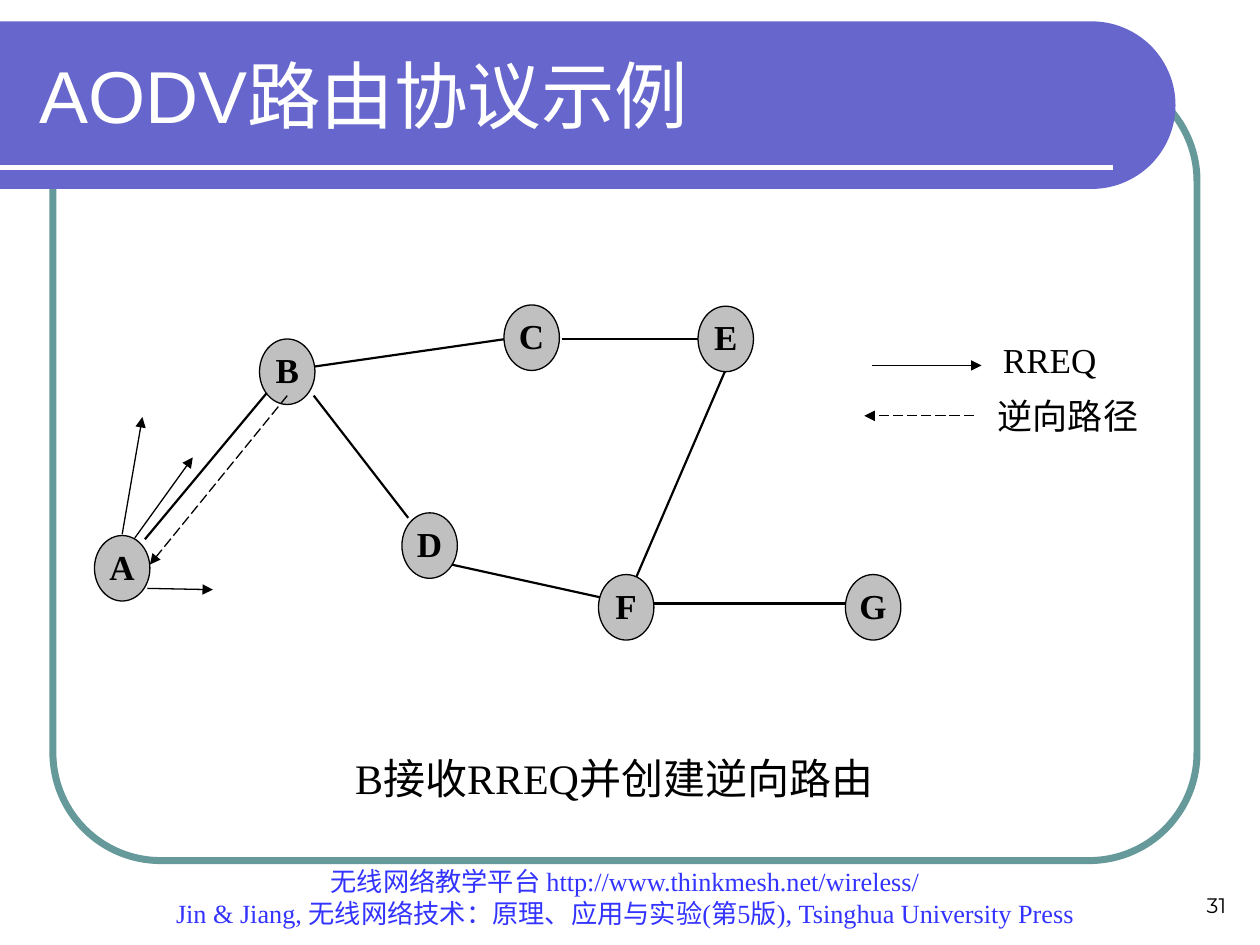
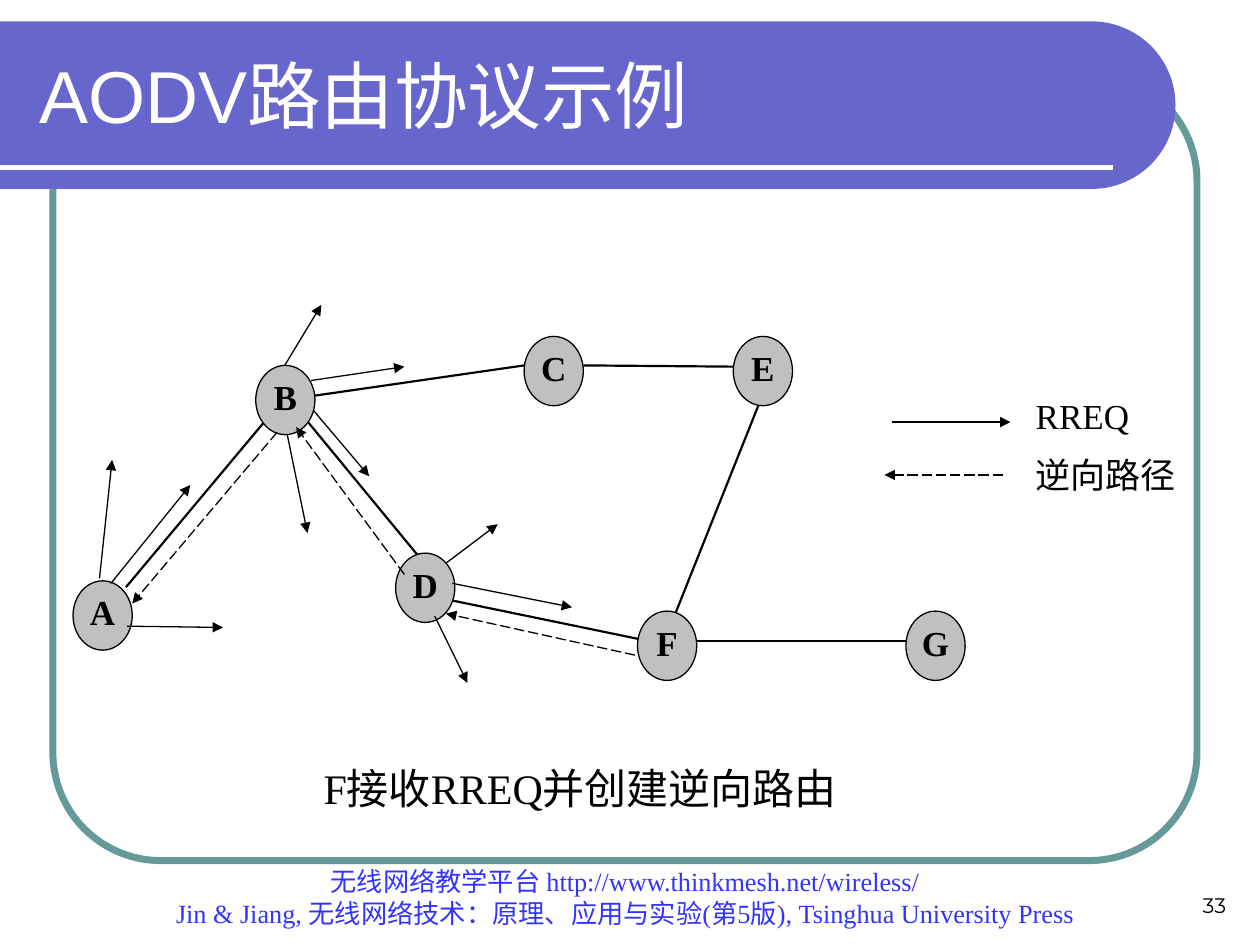
import math

from lxml import etree
from pptx import Presentation
from pptx.dml.color import RGBColor
from pptx.enum import dml, shapes, text
from pptx.oxml import ns
from pptx.util import Inches, Pt

BAND_BLUE = RGBColor(0x66, 0x66, 0xCC)
FRAME_TEAL = RGBColor(0x66, 0x99, 0x99)
FOOTER_BLUE = RGBColor(0x33, 0x33, 0xFF)
NODE_GRAY = RGBColor(0xC0, 0xC0, 0xC0)
BLACK = RGBColor(0, 0, 0)
WHITE = RGBColor(0xFF, 0xFF, 0xFF)
SERIF = "Times New Roman"
ALIGN = text.PP_ALIGN
ANCHOR = text.MSO_ANCHOR

TITLE = "AODV路由协议示例"
FOOTER = [
    "无线网络教学平台 http://www.thinkmesh.net/wireless/",
    "Jin & Jiang, 无线网络技术：原理、应用与实验(第5版), Tsinghua University Press",
]

# Places inside a network are measured from the left top of its box;
# lines are (x1, y1, x2, y2), and arrows point at their second end.
B_RECEIVES = {
    "number": "31",
    "caption": "B接收RREQ并创建逆向路由",
    "caption_at": (2.72, 5.92),
    "network_at": (0.75, 2.42),
    "node_size": (0.44, 0.52),
    "nodes": {"A": (0, 1.83), "B": (1.31, 0.27), "C": (3.25, 0), "D": (2.44, 1.65),
              "E": (4.79, 0.01), "F": (4, 2.14), "G": (5.96, 2.14)},
    "links": [(0.4, 1.86, 1.4, 0.66), (1.74, 0.49, 3.27, 0.27),
              (3.71, 0.27, 4.8, 0.27), (1.74, 0.72, 2.49, 1.69),
              (2.83, 2.06, 4.01, 2.32), (4.3, 2.16, 5.02, 0.49),
              (4.43, 2.37, 5.96, 2.37)],
    "requests": [(0.42, 2.25, 0.94, 2.26), (0.32, 1.85, 0.78, 1.21),
                 (0.22, 1.82, 0.38, 0.89)],
    "reverse_paths": [(1.53, 0.72, 0.44, 2.06)],
    "legend_at": (6.86, 2.69),
    "legend_arrow": 0.87,
    "legend_rows": [(0.21, 1.1, 0), (0.61, 1.06, 0.44)],
}
F_RECEIVES = {
    "number": "33",
    "caption": "F接收RREQ并创建逆向路由",
    "caption_at": (2.47, 6),
    "network_at": (0.58, 2.42),
    "node_size": (0.47, 0.55),
    "nodes": {"A": (0, 2.19), "B": (1.45, 0.48), "C": (3.58, 0.25), "D": (2.56, 1.97),
              "E": (5.24, 0.25), "F": (4.48, 2.43), "G": (6.61, 2.43)},
    "links": [(0.42, 2.24, 1.55, 0.89), (1.92, 0.72, 3.58, 0.48),
              (4.05, 0.48, 5.24, 0.49), (1.84, 0.9, 2.73, 1.98),
              (2.98, 2.34, 4.53, 2.66), (4.76, 2.5, 5.47, 0.72),
              (4.95, 2.67, 6.61, 2.67)],
    "requests": [(0.43, 2.55, 1.19, 2.56), (0.3, 2.21, 0.93, 1.43),
                 (0.21, 2.17, 0.31, 1.23), (1.68, 0.48, 1.97, 0),
                 (1.89, 0.6, 2.63, 0.49), (1.91, 0.84, 2.35, 1.36),
                 (1.7, 1.03, 1.86, 1.81), (3.01, 2.21, 3.96, 2.4),
                 (2.96, 2.05, 3.37, 1.74), (2.87, 2.47, 3.13, 3)],
    "reverse_paths": [(1.62, 1.01, 0.47, 2.37), (2.63, 2.14, 1.77, 0.97),
                      (4.46, 2.78, 2.96, 2.45)],
    "legend_at": (7.02, 3.13),
    "legend_arrow": 0.94,
    "legend_rows": [(0.22, 1.2, 0), (0.64, 1.2, 0.47)],
}


def write(paragraph, words, size, color=BLACK, font=SERIF, bold=False, align=ALIGN.LEFT):
    paragraph.alignment = align
    run = paragraph.add_run()
    run.text = words
    run.font.size = Pt(size)
    run.font.name = font
    run.font.bold = bold
    run.font.color.rgb = color


def set_frame(frame, anchor, margins=(0, 0)):
    frame.word_wrap = True
    frame.vertical_anchor = anchor
    frame.margin_left = frame.margin_right = Inches(margins[0])
    frame.margin_top = frame.margin_bottom = Inches(margins[1])


def add_label(slide, box, lines, size, anchor=ANCHOR.TOP, margins=(0.1, 0.05), **style):
    frame = slide.shapes.add_textbox(*map(Inches, box)).text_frame
    set_frame(frame, anchor, margins)
    for index, line in enumerate(lines):
        paragraph = frame.add_paragraph() if index else frame.paragraphs[0]
        write(paragraph, line, size, **style)


def add_line(slide, origin, ends, width=0.75, color=BLACK, arrow=False, dashed=False):
    left, top = origin
    x1, y1, x2, y2 = ends
    line = slide.shapes.add_connector(
        shapes.MSO_CONNECTOR.STRAIGHT,
        *map(Inches, (left + x1, top + y1, left + x2, top + y2)))
    line.line.color.rgb = color
    line.line.width = Pt(width)
    if dashed:
        line.line.dash_style = dml.MSO_LINE.LONG_DASH
    if arrow:
        etree.SubElement(line.line._get_or_add_ln(), ns.qn("a:tailEnd"), type="triangle")
    etree.SubElement(line.element.spPr, ns.qn("a:effectLst"))


def add_frame(slide, box):
    frame = slide.shapes.add_shape(shapes.MSO_SHAPE.ROUNDED_RECTANGLE, *map(Inches, box))
    frame.shadow.inherit = False
    frame.adjustments[0] = 0.137
    frame.fill.background()
    frame.line.color.rgb = FRAME_TEAL
    frame.line.width = Pt(4)


def add_title_band(slide, box):
    left, top, width, height = box
    radius = height / 2
    center_x, center_y = left + width - radius, top + radius
    # Half circle on the right end, from top to bottom
    angles = [math.radians(degrees) for degrees in range(-90, 91, 3)]
    outline = [(center_x + radius * math.cos(a), center_y + radius * math.sin(a))
               for a in angles]
    builder = slide.shapes.build_freeform(Inches(left), Inches(top))
    builder.add_line_segments(
        [(Inches(x), Inches(y)) for x, y in outline + [(left, top + height)]])
    band = builder.convert_to_shape()
    band.shadow.inherit = False
    band.fill.solid()
    band.fill.fore_color.rgb = BAND_BLUE
    band.line.fill.background()
    add_line(slide, (left, top), (0, 1.16, width - 0.5, 1.16), width=3, color=WHITE)

    title = slide.shapes.title
    title.left, title.top = Inches(left + 0.21), Inches(top + 0.08)
    title.width, title.height = Inches(8.77), Inches(1)
    set_frame(title.text_frame, ANCHOR.MIDDLE, (0.1, 0.05))
    write(title.text_frame.paragraphs[0], TITLE, 42, WHITE, "Arial")
    # Bring the title in front of the band
    title.element.getparent().append(title.element)


def add_footer(slide, number):
    add_label(slide, (0.75, 7, 8.42, 0.42), FOOTER, 15, ANCHOR.BOTTOM,
              color=FOOTER_BLUE, align=ALIGN.CENTER)
    add_label(slide, (7.5, 6.83, 2.33, 0.5), [number], 12, ANCHOR.BOTTOM,
              font="Montserrat", align=ALIGN.RIGHT)


def add_network(slide, origin, step):
    left, top = origin
    for link in step["links"]:
        add_line(slide, origin, link, width=1.25)
    for name, (x, y) in step["nodes"].items():
        node = slide.shapes.add_shape(
            shapes.MSO_SHAPE.OVAL,
            *map(Inches, (left + x, top + y, *step["node_size"])))
        node.shadow.inherit = False
        node.fill.solid()
        node.fill.fore_color.rgb = NODE_GRAY
        node.line.color.rgb = BLACK
        node.line.width = Pt(0.75)
        set_frame(node.text_frame, ANCHOR.TOP)
        write(node.text_frame.paragraphs[0], name, 20, bold=True, align=ALIGN.CENTER)
    for request in step["requests"]:
        add_line(slide, origin, request, arrow=True)
    for reverse_path in step["reverse_paths"]:
        add_line(slide, origin, reverse_path, arrow=True, dashed=True)


def add_legend(slide, origin, arrow_length, rows):
    left, top = origin
    (request_y, *request_at), (reverse_y, *reverse_at) = rows
    add_line(slide, origin, (0.06, request_y, 0.06 + arrow_length, request_y), arrow=True)
    add_line(slide, origin, (arrow_length, reverse_y, 0, reverse_y),
             arrow=True, dashed=True)
    for words, (x, y) in (("RREQ", request_at), ("逆向路径", reverse_at)):
        add_label(slide, (left + x, top + y, 1.16, 0.45), [words], 20, margins=(0, 0))


def add_step_slide(deck, step):
    slide = deck.slides.add_slide(deck.slide_layouts[5])
    add_frame(slide, (0.42, 0.58, 9.08, 6.25))
    add_title_band(slide, (0, 0.17, 9.33, 1.33))
    add_footer(slide, step["number"])
    add_network(slide, step["network_at"], step)
    add_legend(slide, step["legend_at"], step["legend_arrow"], step["legend_rows"])
    add_label(slide, (*step["caption_at"], 4.6, 0.5), [step["caption"]], 24, ANCHOR.MIDDLE)


def main():
    deck = Presentation()
    deck.slide_width, deck.slide_height = Inches(10), Inches(7.5)
    for step in (B_RECEIVES, F_RECEIVES):
        add_step_slide(deck, step)
    deck.save("out.pptx")


if __name__ == "__main__":
    main()
